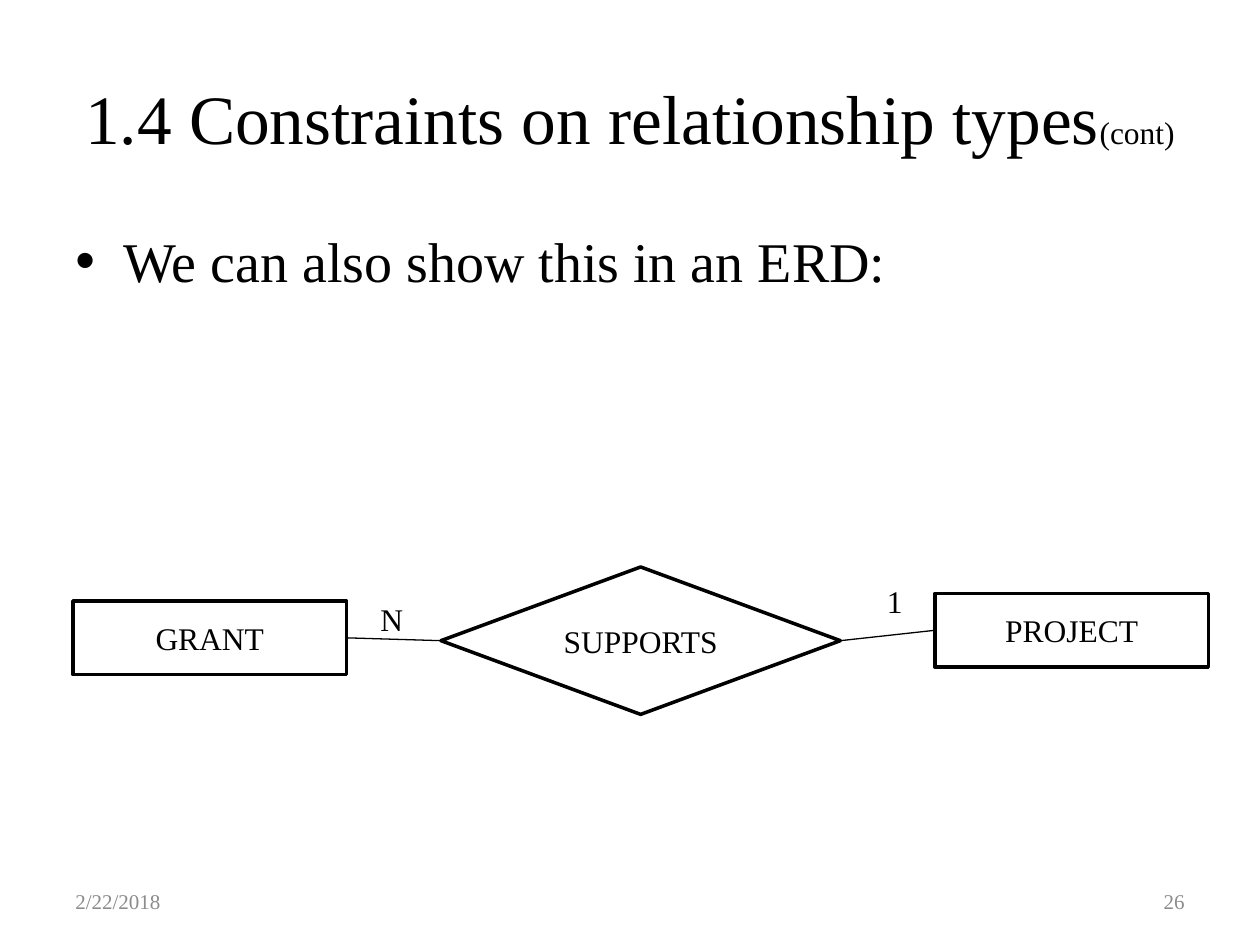
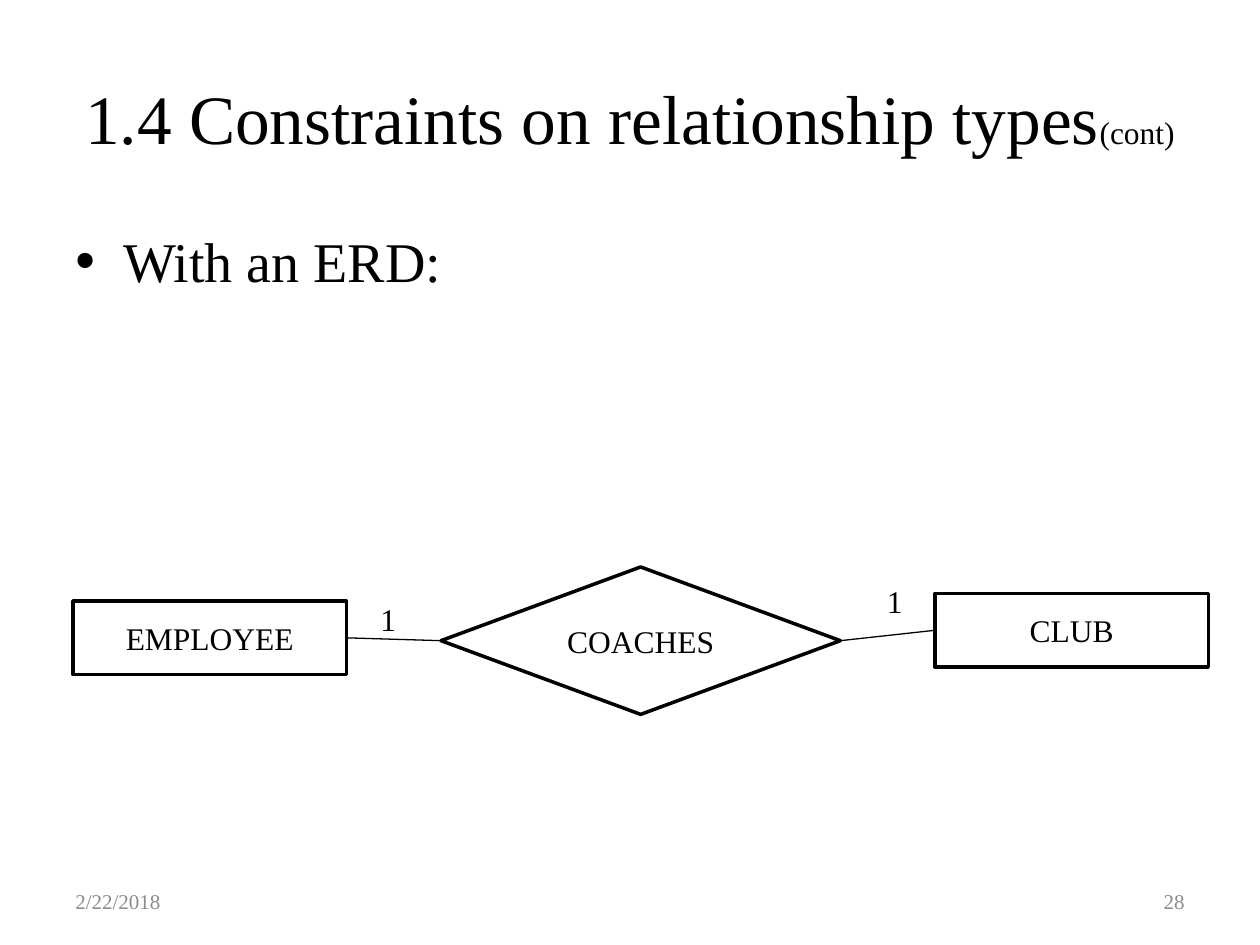
from dataclasses import dataclass

from lxml import etree
from pptx import Presentation
from pptx import util as u
from pptx.dml.color import RGBColor
from pptx.enum import shapes, text
from pptx.oxml.ns import qn

IN = u.Inches
LEFT, MID, RIGHT = text.PP_ALIGN.LEFT, text.PP_ALIGN.CENTER, text.PP_ALIGN.RIGHT
TOP, HALF = text.MSO_ANCHOR.TOP, text.MSO_ANCHOR.MIDDLE
RECT = shapes.MSO_SHAPE.RECTANGLE
DIAMOND = shapes.MSO_SHAPE.FLOWCHART_DECISION


@dataclass(frozen=True)
class Theme:
    """Font, colours, type sizes and line widths shared by the slides."""
    font: str = "Times New Roman"
    ink: str = "000000"
    grey: str = "8C8C8C"
    title: float = 39.6
    body: float = 32
    label: float = 18
    foot: float = 12
    edge: float = 2
    link: float = 0.75


T = Theme()
SLIDES = [
    ("We can also show this in an ERD:", "26", ("GRANT", "N", "SUPPORTS", "1", "PROJECT")),
    ("With an ERD:", "28", ("EMPLOYEE", "1", "COACHES", "1", "CLUB")),
]


def rgb(code):
    """Turn a hex code into a colour."""
    return RGBColor.from_string(code)


def write(shape, runs, align=LEFT, anchor=TOP, tint=T.ink):
    """Fill one paragraph with (words, size) runs and return it."""
    frame = shape.text_frame
    frame.word_wrap = True
    frame.auto_size = text.MSO_AUTO_SIZE.NONE
    frame.vertical_anchor = anchor
    para = frame.paragraphs[0]
    para.alignment = align
    for words, size in runs:
        run = para.add_run()
        run.text = words
        run.font.name = T.font
        run.font.size = u.Pt(size)
        run.font.color.rgb = rgb(tint)
    return para


def note(slide, box, words, size, **style):
    """Add a text box and return its paragraph."""
    area = slide.shapes.add_textbox(*map(IN, box))
    return write(area, [(words, size)], **style)


def head(slide, box):
    """Place and format the title."""
    title = slide.shapes.title
    title.left, title.top, title.width, title.height = map(IN, box)
    runs = [("1.4 Constraints on relationship types", T.title), ("(cont)", T.label)]
    write(title, runs, MID, HALF)


def point(slide, box, words):
    """Add the bulleted line."""
    para = note(slide, box, words, T.body)
    para.space_before = u.Pt(T.body * 0.2)
    props = para._p.get_or_add_pPr()
    props.set("marL", str(IN(0.38)))
    props.set("indent", str(-IN(0.38)))
    etree.SubElement(props, qn("a:buFont"), typeface="Arial")
    etree.SubElement(props, qn("a:buChar"), char="•")


def foot(slide, box, page):
    """Add the date at the left and the page number at the right."""
    x, y, w, h = box
    cell = 2.33
    style = dict(anchor=HALF, tint=T.grey)
    note(slide, (x, y, cell, h), "2/22/2018", T.foot, **style)
    note(slide, (x + w - cell, y, cell, h), page, T.foot, align=RIGHT, **style)


def node(slide, kind, box, words):
    """Add an outlined entity or relationship."""
    shape = slide.shapes.add_shape(kind, *map(IN, box))
    shape.shadow.inherit = False
    shape.fill.background()
    shape.line.color.rgb = rgb(T.ink)
    shape.line.width = u.Pt(T.edge)
    write(shape, [(words, T.label)], MID, HALF)
    return shape


def link(slide, start, site, end, stop):
    """Join two nodes at the given connection sites."""
    line = slide.shapes.add_connector(shapes.MSO_CONNECTOR.STRAIGHT, 0, 0, 0, 0)
    line.begin_connect(start, site)
    line.end_connect(end, stop)
    line.line.color.rgb = rgb(T.ink)
    line.line.width = u.Pt(T.link)
    etree.SubElement(line._element.spPr, qn("a:effectLst"))


def erd(slide, box, names):
    """Draw two entities joined by a relationship, with their counts."""
    x, y, w, h = box
    first, many, verb, one, last = names
    wide, high = 2.17, h / 2
    span = 3.17
    bond = node(slide, DIAMOND, (x + 2.92, y, span, h), verb)
    near = node(slide, RECT, (x, y + 0.27, wide, high), first)
    far = node(slide, RECT, (x + w - wide, y + 0.21, wide, high), last)
    link(slide, near, 3, bond, 1)
    link(slide, far, 1, bond, 3)
    for dx, dy, count in ((2.34, 0.21, many), (6.36, 0.07, one)):
        note(slide, (x + dx, y + dy, 0.42, 0.4), count, T.label)


def page(deck, words, number, names):
    """Build one slide."""
    slide = deck.slides.add_slide(deck.slide_layouts[5])
    head(slide, (0.5, 0.3, 9, 1.25))
    point(slide, (0.5, 1.75, 9, 4.95), words)
    foot(slide, (0.5, 6.95, 9, 0.4), number)
    erd(slide, (0.58, 4.5, 9.01, 1.17), names)


def main():
    """Build and save the deck."""
    deck = Presentation()
    deck.slide_width, deck.slide_height = IN(10), IN(7.5)
    for item in SLIDES:
        page(deck, *item)
    deck.save("out.pptx")


if __name__ == "__main__":
    main()
